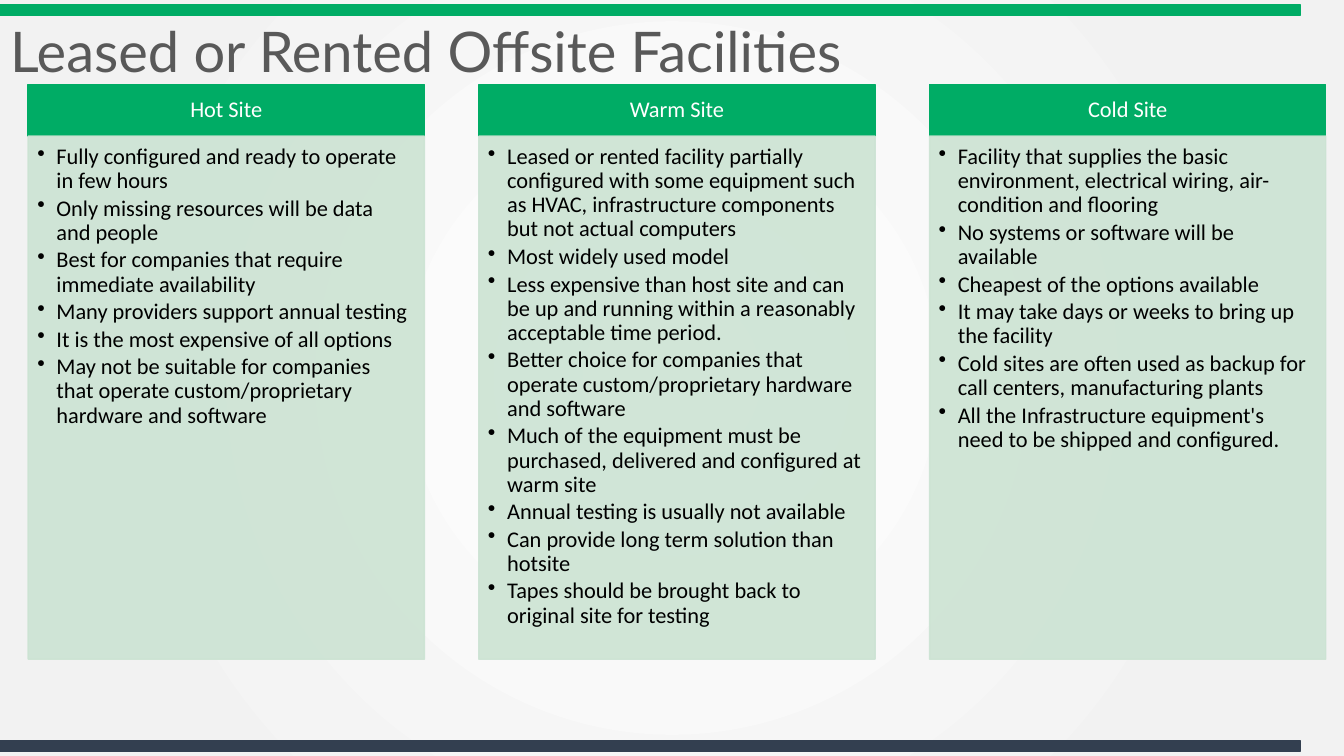
from dataclasses import dataclass
from lxml import etree
from pptx import Presentation
from pptx.dml.color import RGBColor
from pptx.enum.shapes import MSO_SHAPE
from pptx.enum.text import MSO_ANCHOR, MSO_AUTO_SIZE, PP_ALIGN
from pptx.oxml.ns import qn
from pptx.util import Inches, Pt

RECT = MSO_SHAPE.RECTANGLE
TOP, MIDDLE = MSO_ANCHOR.TOP, MSO_ANCHOR.MIDDLE
LEFT, CENTER = PP_ALIGN.LEFT, PP_ALIGN.CENTER

# Content
TITLE = "Leased or Rented Offsite Facilities"
SITES = [
    ("Hot Site", [
        "Fully configured and ready to operate in few hours",
        "Only missing resources will be data and people",
        "Best for companies that require immediate availability",
        "Many providers support annual testing",
        "It is the most expensive of all options",
        "May not be suitable for companies that operate custom/proprietary hardware and software",
    ]),
    ("Warm Site", [
        "Leased or rented facility partially configured with some equipment such as HVAC, "
        "infrastructure components but not actual computers",
        "Most widely used model",
        "Less expensive than host site and can be up and running within a reasonably "
        "acceptable time period.",
        "Better choice for companies that operate custom/proprietary hardware and software",
        "Much of the equipment must be purchased, delivered and configured at warm site",
        "Annual testing is usually not available",
        "Can provide long term solution than hotsite",
        "Tapes should be brought back to original site for testing",
    ]),
    ("Cold Site", [
        "Facility that supplies the basic environment, electrical wiring, air-condition and flooring",
        "No systems or software will be available",
        "Cheapest of the options available",
        "It may take days or weeks to bring up the facility",
        "Cold sites are often used as backup for call centers, manufacturing plants",
        "All the Infrastructure equipment's need to be shipped and configured.",
    ]),
]


@dataclass(frozen=True)
class Theme:
    green: str = "00AC65"
    navy: str = "333F50"
    mint: str = "CCE3D3"
    gray: str = "595959"
    black: str = "000000"
    white: str = "FFFFFF"
    edge: str = "F2F2F2"
    head: str = "Lato"
    body: str = "Calibri"
    big: int = 40
    small: int = 16


THEME = Theme()

# Layout, in inches
COL_X, COL_W, STEP = 0.28, 3.93, 4.47
HEAD_Y, HEAD_H, BODY_H = 0.84, 0.51, 5.19
INDENT = 0.19


def color(code):
    return RGBColor.from_string(code)


def place(shape, box):
    shape.left, shape.top, shape.width, shape.height = map(Inches, box)


def add_box(slide, box, code, alpha=None):
    shape = slide.shapes.add_shape(RECT, *map(Inches, box))
    shape.shadow.inherit = False
    shape.fill.solid()
    shape.fill.fore_color.rgb = color(code)
    shape.line.color.rgb = color(code)
    shape.line.width = Pt(1)
    if alpha:
        for node in shape.element.spPr.iter(qn("a:srgbClr")):
            etree.SubElement(node, qn("a:alpha"), val=str(alpha * 1000))
    return shape


def write(shape, lines, font, size, code, align, anchor, inset, after=0):
    frame = shape.text_frame
    frame.text = "\n".join(lines)
    frame.word_wrap = True
    frame.auto_size = MSO_AUTO_SIZE.NONE
    frame.vertical_anchor = anchor
    (frame.margin_left, frame.margin_top,
     frame.margin_right, frame.margin_bottom) = map(Inches, inset)
    for para in frame.paragraphs:
        para.alignment = align
        para.line_spacing = 0.9
        para.space_after = Pt(after)
        for run in para.runs:
            run.font.name = font
            run.font.size = Pt(size)
            run.font.color.rgb = color(code)


def add_bullets(shape):
    for para in shape.text_frame.paragraphs:
        para.level = 1
        props = para._p.get_or_add_pPr()
        props.set("marL", str(Inches(INDENT)))
        props.set("indent", str(-Inches(INDENT)))
        etree.SubElement(props, qn("a:buChar"), char="•")


def paint_back(slide):
    fill = slide.background.fill
    fill.gradient()
    for stop, code, pos in zip(fill.gradient_stops, (THEME.white, THEME.edge), (0, 0.81)):
        stop.color.rgb = color(code)
        stop.position = pos
    # Radial spread from the centre
    line = next(slide.element.iter(qn("a:lin")))
    ring = etree.Element(qn("a:path"), path="circle")
    etree.SubElement(ring, qn("a:fillToRect"), dict.fromkeys("ltrb", "50000"))
    line.getparent().replace(line, ring)


def main():
    deck = Presentation()
    deck.slide_width, deck.slide_height = Inches(13.33), Inches(7.5)
    slide = deck.slides.add_slide(deck.slide_layouts[5])
    paint_back(slide)

    # Top and bottom bars
    for y, code in ((0.05, THEME.green), (7.35, THEME.navy)):
        add_box(slide, (0, y, 12.9, 0.1), code)

    # Title
    title = slide.shapes.title
    place(title, (0, 0.14, 11.7, 0.8))
    write(title, [TITLE], THEME.head, THEME.big, THEME.gray, LEFT, MIDDLE,
          (0.1, 0.05, 0.1, 0.05))

    # Site columns
    for i, (name, points) in enumerate(SITES):
        x = COL_X + i * STEP
        head = add_box(slide, (x, HEAD_Y, COL_W, HEAD_H), THEME.green)
        write(head, [name], THEME.body, THEME.small, THEME.white, CENTER, MIDDLE,
              (0.12, 0.07, 0.12, 0.07))
        body = add_box(slide, (x, HEAD_Y + HEAD_H, COL_W, BODY_H), THEME.mint, 90)
        write(body, points, THEME.body, THEME.small, THEME.black, LEFT, TOP,
              (0.09, 0.09, 0.12, 0.14), after=2.4)
        add_bullets(body)

    deck.save("out.pptx")


if __name__ == "__main__":
    main()
